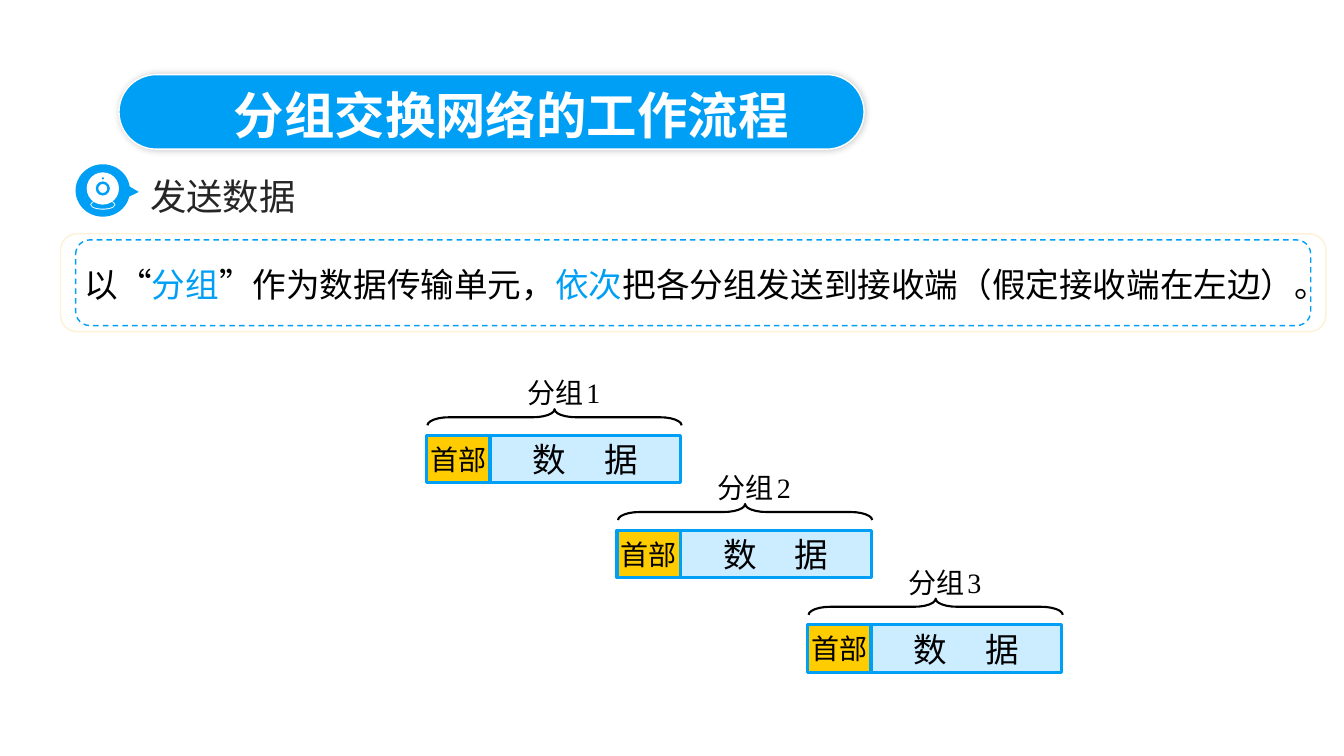
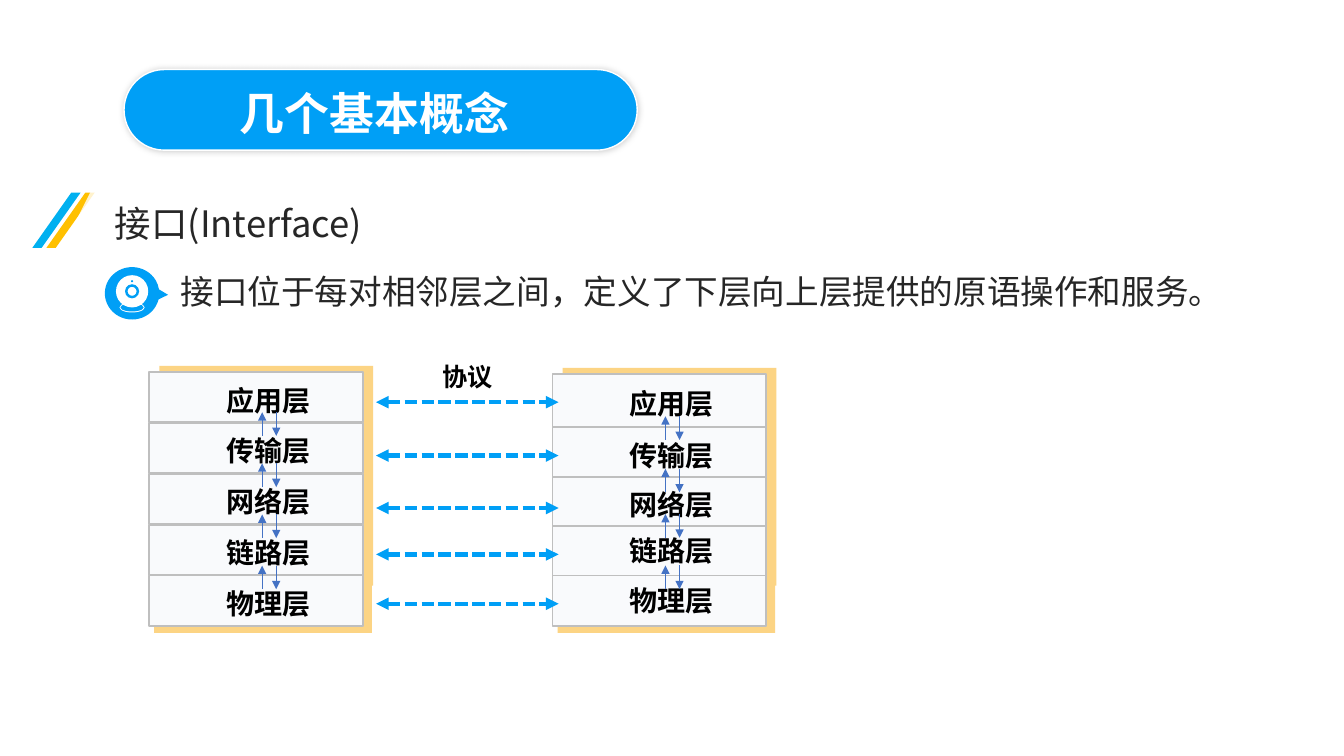
from dataclasses import dataclass

from lxml.etree import SubElement
from pptx import Presentation
from pptx.dml.color import RGBColor
from pptx.enum.dml import MSO_LINE
from pptx.enum.shapes import MSO_CONNECTOR, MSO_SHAPE as SHAPE
from pptx.enum.text import MSO_ANCHOR as ANCHOR, MSO_AUTO_SIZE, PP_ALIGN as ALIGN
from pptx.oxml.ns import qn
from pptx.util import Emu, Inches, Pt


@dataclass(frozen=True)
class Theme:
    blue: str = "009FF6"
    sky: str = "00B0F0"
    pale_blue: str = "CCECFF"
    arrow: str = "4472C4"
    amber: str = "FFCC00"
    gold: str = "FFC000"
    sand: str = "FCD484"
    cream: str = "FEF1D6"
    cell: str = "F9FAFC"
    rule: str = "BFBFBF"
    ink: str = "262626"
    black: str = "000000"
    white: str = "FFFFFF"
    sans: str = "Noto Sans CJK SC"
    title_font: str = "Noto Sans CJK JP"
    serif: str = "Times New Roman"
    heading: int = 26
    body: int = 24
    label: int = 20
    small: int = 18
    gap: int = 10


T = Theme()
CELL = Inches(0.1)  # the slide is a grid of 133.3 columns by 75 rows


def u(n):
    """Grid cells to EMU."""
    return Emu(round(n * CELL))


def rgb(value):
    return RGBColor.from_string(value)


def add_run(p, text, size, color=T.black, font=T.sans, bold=False, spacing=None):
    r = p.add_run()
    r.text = text
    f = r.font
    f.size, f.bold, f.name = Pt(size), bold, font
    f.color.rgb = rgb(color)
    east_asian = T.sans if font == T.serif else font
    SubElement(r._r.rPr, qn("a:ea"), typeface=east_asian)
    if spacing:
        r._r.rPr.set("spc", str(spacing * 100))


def set_line(line, color, width, dash=None):
    line.color.rgb = rgb(color)
    line.width = Pt(width)
    if dash:
        line.dash_style = dash


def paint(sp, fill=None, line=None):
    """Set fill and (color, width, dash) line; none means not drawn."""
    sp.shadow.inherit = False
    if fill:
        sp.fill.solid()
        sp.fill.fore_color.rgb = rgb(fill)
    else:
        sp.fill.background()
    if line:
        set_line(sp.line, *line)
    else:
        sp.line.fill.background()
    return sp


def add_box(s, kind, x, y, w, h, fill=None, line=None, adj=()):
    sp = s.shapes.add_shape(kind, u(x), u(y), u(w), u(h))
    for i, value in enumerate(adj):
        sp.adjustments[i] = value
    return paint(sp, fill, line)


def add_text(s, x, y, w, h, align=ALIGN.LEFT, wrap=True):
    """Add a text box and return its first paragraph."""
    tf = s.shapes.add_textbox(u(x), u(y), u(w), u(h)).text_frame
    tf.word_wrap = wrap
    tf.paragraphs[0].alignment = align
    return tf.paragraphs[0]


def place(sp, x, y, w, h):
    """Bring a placeholder to the front, move it and return its paragraph."""
    sp.element.getparent().append(sp.element)
    sp.left, sp.top, sp.width, sp.height = u(x), u(y), u(w), u(h)
    tf = sp.text_frame
    tf.auto_size, tf.word_wrap = MSO_AUTO_SIZE.NONE, True
    tf.vertical_anchor = ANCHOR.TOP
    tf.margin_right = 0
    p = tf.paragraphs[0]
    p.alignment, p.space_before = ALIGN.LEFT, Pt(0)
    pPr = p._p.get_or_add_pPr()
    pPr.set("marL", "0")
    pPr.set("indent", "0")
    SubElement(pPr, qn("a:buNone"))
    return p


def add_line(s, start, end, color, width, dash=None, both=False):
    c = s.shapes.add_connector(MSO_CONNECTOR.STRAIGHT, *map(u, start + end))
    set_line(c.line, color, width, dash)
    ln = c.line._get_or_add_ln()
    if both:
        SubElement(ln, qn("a:headEnd"), type="triangle")
    SubElement(ln, qn("a:tailEnd"), type="triangle")
    SubElement(c.element.spPr, qn("a:effectLst"))


def add_alpha(parent, percent):
    SubElement(parent, qn("a:alpha"), val=str(percent * 1000))


def add_title(s, text, size, pill_at, text_at):
    pill = add_box(s, SHAPE.ROUNDED_RECTANGLE, *pill_at, T.blue, (T.white, 1), [0.5])
    effects = pill.element.spPr.find(qn("a:effectLst"))
    shadow = SubElement(effects, qn("a:outerShdw"), blurRad=str(Pt(5)), dist="0",
                        dir="0", algn="ctr", rotWithShape="0")
    add_alpha(SubElement(shadow, qn("a:srgbClr"), val=T.black), 20)
    add_run(place(s.shapes.title, *text_at), text, size, T.white, T.title_font, True)


def add_camera_icon(s, x, y):
    add_box(s, SHAPE.OVAL_CALLOUT, x, y, 5.4, 5.2, T.blue, adj=[0.661, 0.028])
    for dy, w, h, color in ((3.5, 2.5, 1, T.white), (3.6, 2.3, 0.8, T.blue),
                            (0.8, 3.2, 3.2, T.white)):
        add_box(s, SHAPE.OVAL, x + 2.7 - w / 2, y + dy, w, h, color)
    add_box(s, SHAPE.DONUT, x + 2, y + 1.7, 1.4, 1.4, T.blue, adj=[0.18])
    add_box(s, SHAPE.OVAL, x + 2.6, y + 1.3, 0.2, 0.2, T.blue)


def add_packet(s, number, x, y):
    border = (T.blue, 2.25)
    parts = (("数据", 6.3, 18.9, T.pale_blue, T.body),
             ("首部", 0, 6.3, T.amber, T.label))
    for text, dx, w, fill, size in parts:
        sp = add_box(s, SHAPE.RECTANGLE, x + dx, y, w, 4.7, fill, border)
        tf = sp.text_frame
        tf.word_wrap, tf.vertical_anchor = False, ANCHOR.MIDDLE
        p = tf.paragraphs[0]
        p.alignment = ALIGN.CENTER
        if dx:
            add_run(p, text[0], size, spacing=27)
            add_run(p, text[1], size)
        else:
            add_run(p, text, size)
    brace = add_box(s, SHAPE.LEFT_BRACE, x + 11.9, y - 14.4, 1.6, 25.2,
                    line=(T.black, 1.5), adj=[1.344, 0.5])
    brace.rotation = 90
    p = add_text(s, x + 9, y - 6.4, 9.7, 4.4, wrap=False)
    for text, size in (("分组", T.label), (" ", T.gap), (str(number), T.label)):
        add_run(p, text, size, font=T.serif)


def add_stripes(s):
    for x, color in ((3.2, T.sky), (4.6, T.gold)):
        add_box(s, SHAPE.PARALLELOGRAM, x, 19.1, 4.8, 5.5, color, adj=[0.808])
    builder = s.shapes.build_freeform(9, 19.1, scale=CELL)
    builder.add_line_segments([(6.3, 24.8), (38.3, 24.8), (38.3, 19.1)])
    veil = paint(builder.convert_to_shape(), T.white)
    add_alpha(veil.element.spPr.find(".//" + qn("a:srgbClr")), 80)


def add_stack(s, x, rows, arrow_tops):
    """Draw a protocol stack; rows are (name, top, height, label offset)."""
    top = rows[0][1]
    add_box(s, SHAPE.RECTANGLE, x + 1, top - 0.6, 21.2, 58.1 - top + 0.6, T.sand)
    add_box(s, SHAPE.RECTANGLE, x + 0.5, 57, 21.6, 5.8, T.sand)
    for name, y, h, offset in rows:
        sp = add_box(s, SHAPE.RECTANGLE, x, y, 21.2, h, T.cell, (T.rule, 1.25))
        tf = sp.text_frame
        tf.vertical_anchor = ANCHOR.TOP
        tf.margin_left, tf.margin_top, tf.margin_right = u(3.4), u(offset + 0.5), u(1)
        tf.margin_bottom = 0
        p = tf.paragraphs[0]
        p.alignment = ALIGN.CENTER
        add_run(p, name, T.label, font=T.serif, bold=True)
    for y in arrow_tops:
        down, up = x + 12.6, x + 11.2
        add_line(s, (down, y), (down, y + 2.35), T.arrow, 0.5)
        add_line(s, (up, y + 2.35), (up, y), T.arrow, 0.5)


def packet_slide(s):
    add_title(s, "分组交换网络的工作流程", 36,
              (11.8, 7.4, 73.9, 7.4), (22.2, 7.8, 63.6, 7.1))
    add_camera_icon(s, 7.5, 16.3)
    p = add_text(s, 13.9, 16.3, 65.4, 5.8)
    p.line_spacing = 1.1
    add_run(p, "发送数据", T.heading, T.ink)

    add_box(s, SHAPE.ROUNDED_RECTANGLE, 6, 23.2, 125.5, 9.7, T.white, (T.cream, 1))
    add_box(s, SHAPE.ROUNDED_RECTANGLE, 7.5, 23.8, 122.5, 8.5,
            line=(T.blue, 1, MSO_LINE.DASH))
    p = place(s.placeholders[1], 7.4, 25.7, 124, 9.1)
    for text, color in (("以“", T.black), ("分组", T.blue),
                        ("”作为数据传输单元，", T.black), ("依次", T.blue),
                        ("把各分组发送到接收端（假定接收端在左边）。", T.black)):
        add_run(p, text, T.body, color)

    for i in range(3):
        add_packet(s, i + 1, 42.3 + 18.9 * i, 43.2 + 9.4 * i)


def interface_slide(s):
    add_title(s, "几个基本概念", 32, (12.3, 6.9, 50.9, 8), (22.8, 8, 46.2, 6.4))
    add_stripes(s)
    add_run(add_text(s, 10.4, 19.5, 44.5, 5.4), "接口(Interface)", T.heading, T.ink)
    add_camera_icon(s, 10.4, 26.5)
    p = place(s.placeholders[1], 16.9, 26.4, 113.6, 5)
    add_run(p, "接口位于每对相邻层之间，定义了下层向上层提供的原语操作和服务。",
            T.body, T.ink, T.serif)

    layers = ("应用层", "传输层", "网络层", "链路层", "物理层")
    left = [(name, 36.9 + 5.05 * i, 5, 0.6) for i, name in enumerate(layers)]
    right = list(zip(layers, (37.1, 42.4, 47.3, 52.2, 57.1),
                     (5.6, 5, 5, 5.1, 5), (0.7, 0.6, 0.6, 0.2, 0.3)))
    add_stack(s, 14.8, left, [40.9 + 5.07 * i for i in range(4)])
    add_stack(s, 54.8, right, (41.3, 46.5, 51, 56.1))
    for y in (39.9, 45.2, 50.4, 55, 59.9):
        add_line(s, (37.3, y), (55.4, y), T.blue, 3, MSO_LINE.SQUARE_DOT, both=True)
    p = add_text(s, 42.8, 35.4, 7.2, 4, ALIGN.CENTER, wrap=False)
    add_run(p, "协议", T.small, font=T.serif, bold=True)


def main():
    prs = Presentation()
    prs.slide_width, prs.slide_height = Inches(13.33), Inches(7.5)
    for build in (packet_slide, interface_slide):
        build(prs.slides.add_slide(prs.slide_layouts[1]))
    prs.save("out.pptx")


if __name__ == "__main__":
    main()
